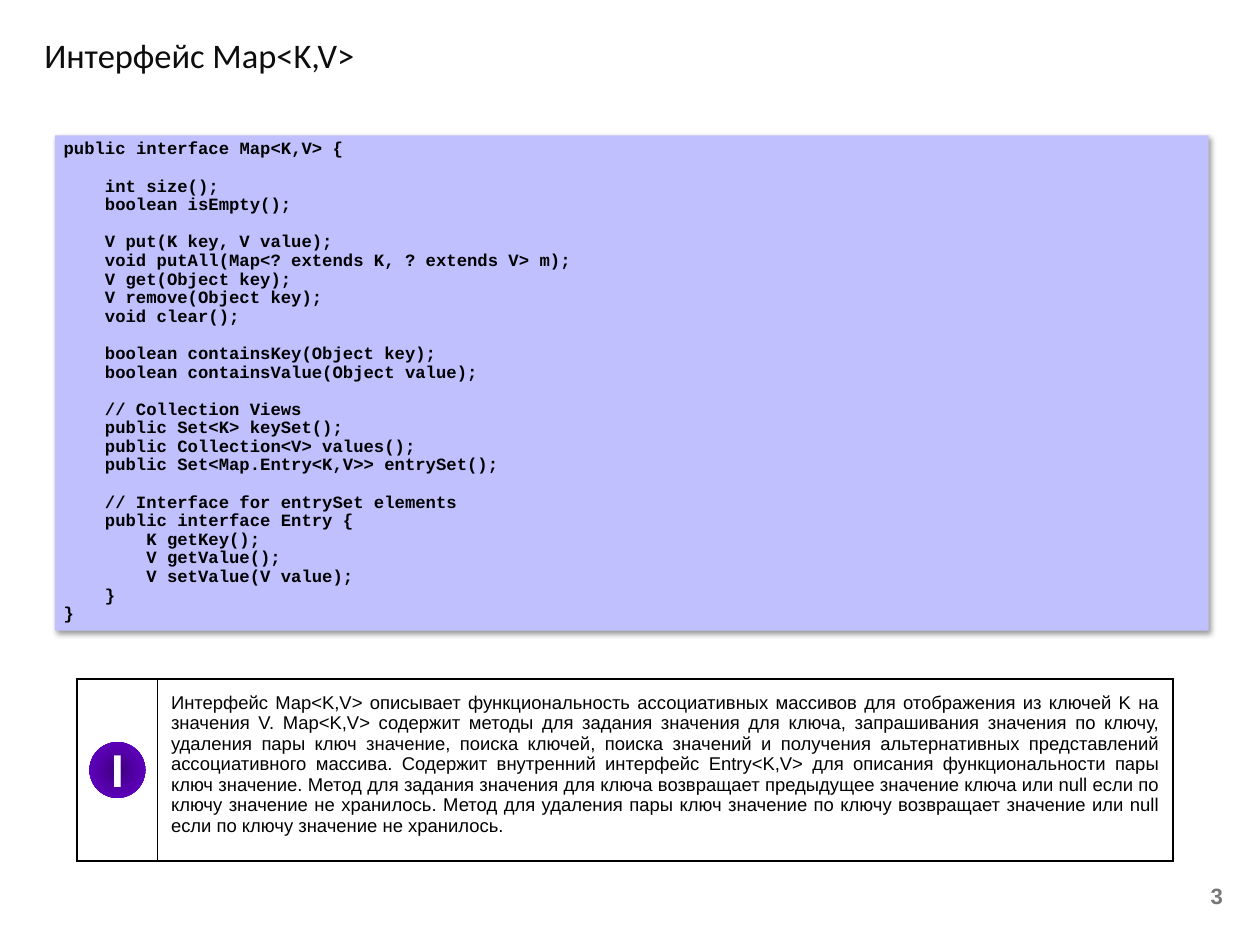
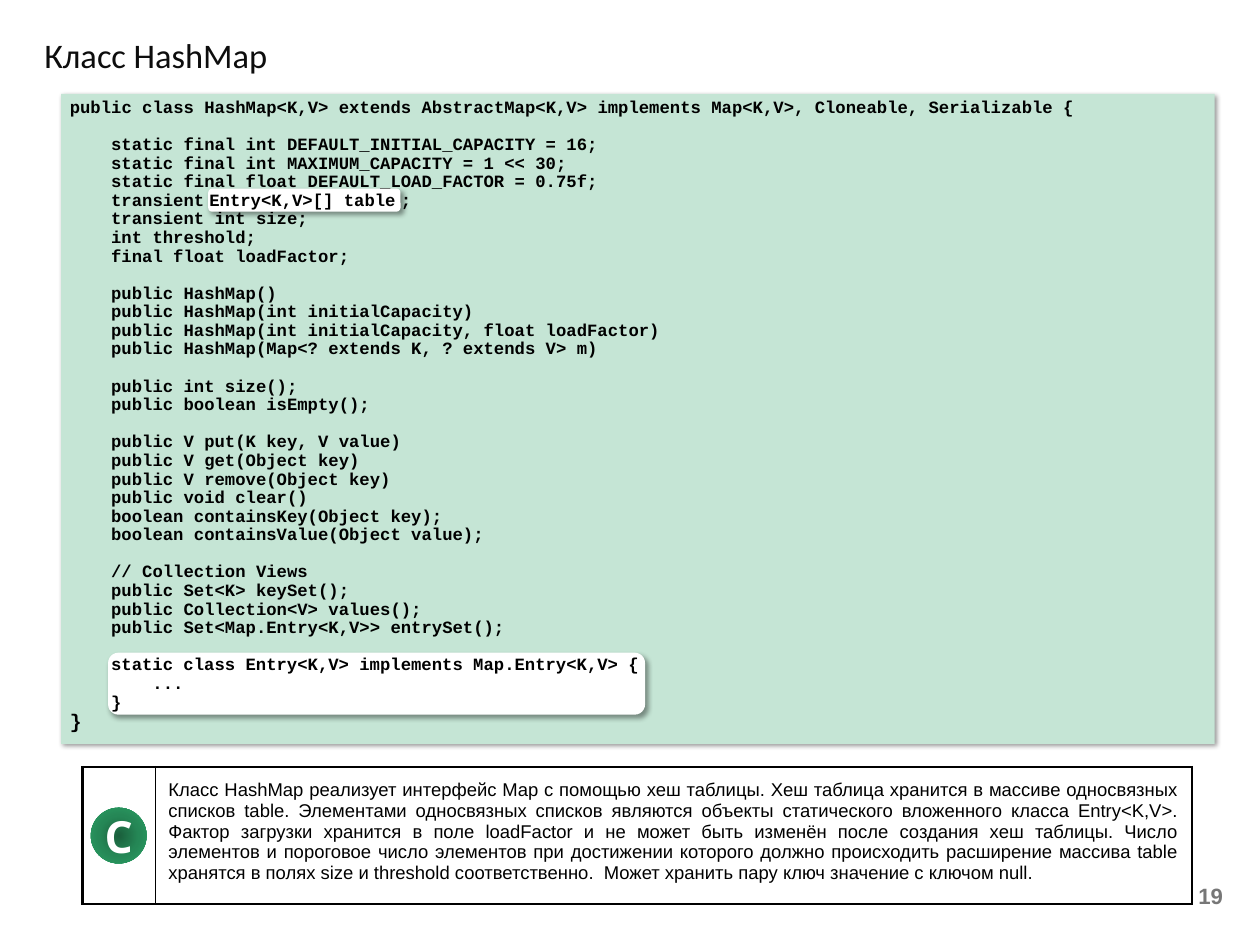
from lxml.etree import SubElement
from pptx import Presentation
from pptx.dml.color import RGBColor
from pptx.enum.shapes import MSO_SHAPE
from pptx.enum.text import MSO_ANCHOR, PP_ALIGN
from pptx.oxml import parse_xml
from pptx.oxml.ns import nsdecls, qn
from pptx.util import Inches, Pt

# Shared style
WIDTH, HEIGHT = Inches(14.22), Inches(10.67)
BLACK = RGBColor(0x00, 0x00, 0x00)
WHITE = RGBColor(0xFF, 0xFF, 0xFF)
TITLE_COLOR = RGBColor(0x0D, 0x0D, 0x0D)
NUMBER_COLOR = RGBColor(0x77, 0x77, 0x77)
LAVENDER = RGBColor(0xC0, 0xC0, 0xFF)
MINT = RGBColor(0xC5, 0xE5, 0xD5)
PURPLES = (RGBColor(0x3C, 0x00, 0x79), RGBColor(0x56, 0x00, 0xAC), RGBColor(0x66, 0x00, 0xCC))
GREENS = (RGBColor(0x1A, 0x5F, 0x3C), RGBColor(0x25, 0x87, 0x56), RGBColor(0x2B, 0xA1, 0x66))
CODE_SIZE = 14
CODE_PITCH = 1.08  # line height as a share of the font size
CHARACTER_WIDTH = 0.6  # monospaced advance as a share of the font size
BADGE_SIZE = Inches(0.63)
THICK, THIN = Pt(2.25), Pt(0.5)

MAP_CODE = """public interface Map<K,V> {

    int size();
    boolean isEmpty();

    V put(K key, V value);
    void putAll(Map<? extends K, ? extends V> m);
    V get(Object key);
    V remove(Object key);
    void clear();

    boolean containsKey(Object key);
    boolean containsValue(Object value);

    // Collection Views
    public Set<K> keySet();
    public Collection<V> values();
    public Set<Map.Entry<K,V>> entrySet();

    // Interface for entrySet elements
    public interface Entry {
        K getKey();
        V getValue();
        V setValue(V value);
    }
}"""

HASH_MAP_FIELDS = """public class HashMap<K,V> extends AbstractMap<K,V> implements Map<K,V>, Cloneable, Serializable {

    static final int DEFAULT_INITIAL_CAPACITY = 16;
    static final int MAXIMUM_CAPACITY = 1 << 30;
    static final float DEFAULT_LOAD_FACTOR = 0.75f;
    transient Entry<K,V>[] table;
    transient int size;
    int threshold;
    final float loadFactor;
"""

HASH_MAP_METHODS = """
    public HashMap()
    public HashMap(int initialCapacity)
    public HashMap(int initialCapacity, float loadFactor)
    public HashMap(Map<? extends K, ? extends V> m)

    public int size();
    public boolean isEmpty();

    public V put(K key, V value)
    public V get(Object key)
    public V remove(Object key)
    public void clear()
    boolean containsKey(Object key);
    boolean containsValue(Object value);

    // Collection Views
    public Set<K> keySet();
    public Collection<V> values();
    public Set<Map.Entry<K,V>> entrySet();

    static class Entry<K,V> implements Map.Entry<K,V> {
        ...
    }
}"""

ENTRY_CODE = """static class Entry<K,V> implements Map.Entry<K,V> {
    ...
}"""

MAP_NOTE = (
    "Интерфейс Map<K,V> описывает функциональность ассоциативных массивов для отображения "
    "из ключей K на значения V. Map<K,V> содержит методы для задания значения для ключа, "
    "запрашивания значения по ключу, удаления пары ключ значение, поиска ключей, поиска "
    "значений и получения альтернативных представлений ассоциативного массива. Содержит "
    "внутренний интерфейс Entry<K,V> для описания функциональности пары ключ значение. "
    "Метод для задания значения для ключа возвращает предыдущее значение ключа или null "
    "если по ключу значение не хранилось. Метод для удаления пары ключ значение по ключу "
    "возвращает значение или null если по ключу значение не хранилось."
)
HASH_MAP_NOTE = (
    "Класс HashMap реализует интерфейс Map с помощью хеш таблицы. Хеш таблица хранится в "
    "массиве односвязных списков table. Элементами односвязных списков являются объекты "
    "статического вложенного класса Entry<K,V>. Фактор загрузки хранится в поле loadFactor "
    "и не может быть изменён после создания хеш таблицы. Число элементов и пороговое число "
    "элементов при достижении которого должно происходить расширение массива table хранятся "
    "в полях size и threshold соответственно.  Может хранить пару ключ значение с ключом null."
)


def place(left, top, width, height):
    """Turn percentages of the slide into lengths."""
    return (int(WIDTH * left / 100), int(HEIGHT * top / 100),
            int(WIDTH * width / 100), int(HEIGHT * height / 100))


def add_run(paragraph, text, font_name, size, color, bold=False):
    run = paragraph.add_run()
    run.text = text
    font = run.font
    font.name, font.size, font.bold = font_name, Pt(size), bold
    font.color.rgb = color


def add_shadow(shape):
    effects = shape._element.spPr.find(qn("a:effectLst"))
    shadow = SubElement(effects, qn("a:outerShdw"), blurRad=str(Pt(4)), dist=str(Pt(3)),
                        dir=str(45 * 60000), algn="tl", rotWithShape="0")
    color = SubElement(shadow, qn("a:srgbClr"), val=str(BLACK))
    SubElement(color, qn("a:alpha"), val="40000")


def add_plain_shape(slide, kind, box, fill):
    shape = slide.shapes.add_shape(kind, *box)
    shape.shadow.inherit = False
    shape.fill.solid()
    shape.fill.fore_color.rgb = fill
    shape.line.fill.background()
    shape.text_frame.word_wrap = True
    return shape


def clear_margins(frame):
    frame.margin_left = frame.margin_right = frame.margin_top = frame.margin_bottom = 0


def write_code(frame, code, last_size=CODE_SIZE):
    """Leading spaces become indents, empty lines become paragraph spacing."""
    lines = code.split("\n")
    paragraph, gap = frame.paragraphs[0], 0
    for index, line in enumerate(lines):
        if not line:
            gap += CODE_SIZE * CODE_PITCH
            continue
        if index:
            paragraph = frame.add_paragraph()
        text = line.lstrip()
        size = last_size if index == len(lines) - 1 else CODE_SIZE
        indent = Pt((len(line) - len(text)) * CODE_SIZE * CHARACTER_WIDTH)
        paragraph._p.get_or_add_pPr().set("marL", str(indent))
        paragraph.alignment = PP_ALIGN.LEFT
        paragraph.line_spacing = Pt(size * CODE_PITCH)
        paragraph.space_before = Pt(gap)
        add_run(paragraph, text, "Courier New", size, BLACK, True)
        gap = 0


def add_code_panel(slide, box, fill, code, last_size=CODE_SIZE):
    panel = add_plain_shape(slide, MSO_SHAPE.RECTANGLE, box, fill)
    add_shadow(panel)
    panel.text_frame.vertical_anchor = MSO_ANCHOR.TOP
    write_code(panel.text_frame, code, last_size)


def add_code_callout(slide, box, code):
    callout = add_plain_shape(slide, MSO_SHAPE.ROUNDED_RECTANGLE, box, WHITE)
    add_shadow(callout)
    clear_margins(callout.text_frame)
    callout.text_frame.vertical_anchor = MSO_ANCHOR.MIDDLE
    write_code(callout.text_frame, code)


def add_badge(slide, box, letter, colors):
    badge = add_plain_shape(slide, MSO_SHAPE.OVAL, box, colors[0])
    # Radial gradient from the centre outwards
    stops = "".join(f'<a:gs pos="{index * 50000}"><a:srgbClr val="{color}"/></a:gs>'
                    for index, color in enumerate(colors))
    gradient = parse_xml(
        f'<a:gradFill {nsdecls("a")} rotWithShape="1"><a:gsLst>{stops}</a:gsLst>'
        '<a:path path="circle"><a:fillToRect l="50000" t="50000" r="50000" b="50000"/>'
        '</a:path></a:gradFill>')
    properties = badge._element.spPr
    properties.replace(properties.find(qn("a:solidFill")), gradient)
    frame = badge.text_frame
    clear_margins(frame)
    frame.vertical_anchor = MSO_ANCHOR.MIDDLE
    frame.paragraphs[0].alignment = PP_ALIGN.CENTER
    add_run(frame.paragraphs[0], letter, "Open Sans", 36, WHITE, True)


def format_cell(cell, left, right):
    """White cell with thick top and bottom borders."""
    properties = cell._tc.get_or_add_tcPr()
    for side, width in (("L", left), ("R", right), ("T", THICK), ("B", THICK)):
        border = SubElement(properties, qn(f"a:ln{side}"), w=str(width))
        fill = SubElement(border, qn("a:solidFill"))
        SubElement(fill, qn("a:srgbClr"), val=str(BLACK))
    cell.fill.solid()
    cell.fill.fore_color.rgb = WHITE


def add_note(slide, box, badge_share, text, letter, colors):
    """A one-row table: a badge centred in the first cell, text in the second."""
    left, top, width, height = box
    table = slide.shapes.add_table(1, 2, *box).table
    table.first_row = table.horz_banding = False
    badge_width = int(WIDTH * badge_share / 100)
    table.columns[0].width = badge_width
    table.columns[1].width = width - badge_width
    badge_cell, text_cell = table.cell(0, 0), table.cell(0, 1)
    format_cell(badge_cell, THICK, THIN)
    format_cell(text_cell, THIN, THICK)
    text_cell.margin_left = text_cell.margin_right = Inches(0.15)
    text_cell.margin_top = text_cell.margin_bottom = Inches(0.15)
    paragraph = text_cell.text_frame.paragraphs[0]
    paragraph.alignment = PP_ALIGN.JUSTIFY
    paragraph.line_spacing = Pt(16.7)
    add_run(paragraph, text, "Arial", 15, BLACK)
    add_badge(slide, (left + (badge_width - BADGE_SIZE) // 2,
                      top + (height - BADGE_SIZE) // 2, BADGE_SIZE, BADGE_SIZE), letter, colors)


def add_titled_slide(presentation, title_text, number):
    slide = presentation.slides.add_slide(presentation.slide_layouts[5])
    # Title
    title = slide.shapes.title
    title.left, title.top, title.width, title.height = place(2.81, 2.81, 77.57, 5.9)
    frame = title.text_frame
    frame.word_wrap = False
    frame.vertical_anchor = MSO_ANCHOR.MIDDLE
    frame.paragraphs[0].alignment = PP_ALIGN.LEFT
    add_run(frame.paragraphs[0], title_text, "Calibri", 28, TITLE_COLOR)
    # Slide number
    frame = slide.shapes.add_textbox(*place(74.4, 92.31, 23.35, 4.97)).text_frame
    frame.word_wrap = True
    frame.vertical_anchor = MSO_ANCHOR.MIDDLE
    frame.paragraphs[0].alignment = PP_ALIGN.RIGHT
    add_run(frame.paragraphs[0], number, "Arial", 18, NUMBER_COLOR, True)
    return slide


def main():
    presentation = Presentation()
    presentation.slide_width, presentation.slide_height = WIDTH, HEIGHT

    # Map interface
    slide = add_titled_slide(presentation, "Интерфейс Map<K,V>", "3")
    add_code_panel(slide, place(4.36, 14.34, 91.56, 52.39), LAVENDER, MAP_CODE)
    add_note(slide, place(6.12, 71.88, 87, 19.21), 6.4, MAP_NOTE, "I", PURPLES)

    # HashMap class
    slide = add_titled_slide(presentation, "Класс HashMap", "19")
    add_code_panel(slide, place(4.85, 9.93, 91.56, 68.79), MINT,
                   HASH_MAP_FIELDS + HASH_MAP_METHODS, last_size=16)
    add_note(slide, place(6.54, 81.16, 88.05, 14.53), 5.77, HASH_MAP_NOTE, "C", GREENS)
    add_code_callout(slide, place(16.53, 19.96, 15.26, 2.44), "Entry<K,V>[] table")
    add_code_callout(slide, place(8.58, 69.07, 42.62, 6.56), ENTRY_CODE)

    presentation.save("out.pptx")


if __name__ == "__main__":
    main()
